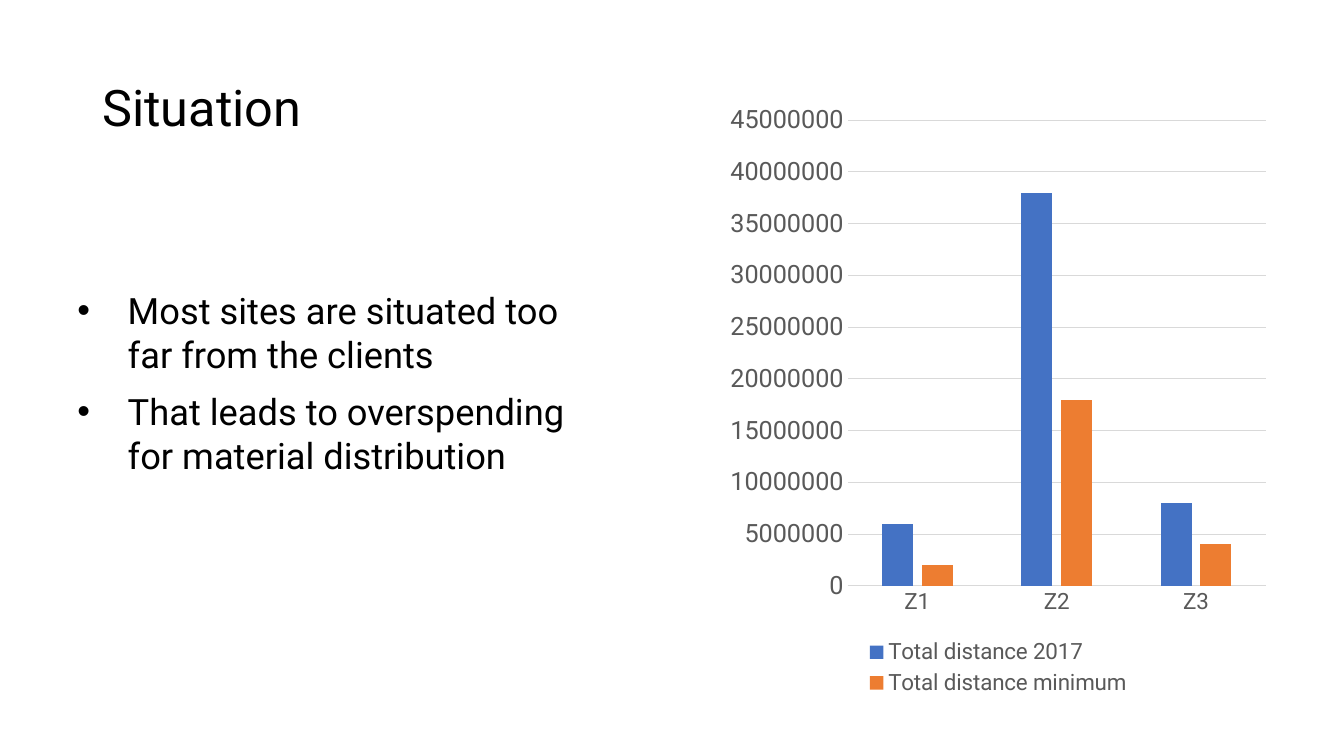
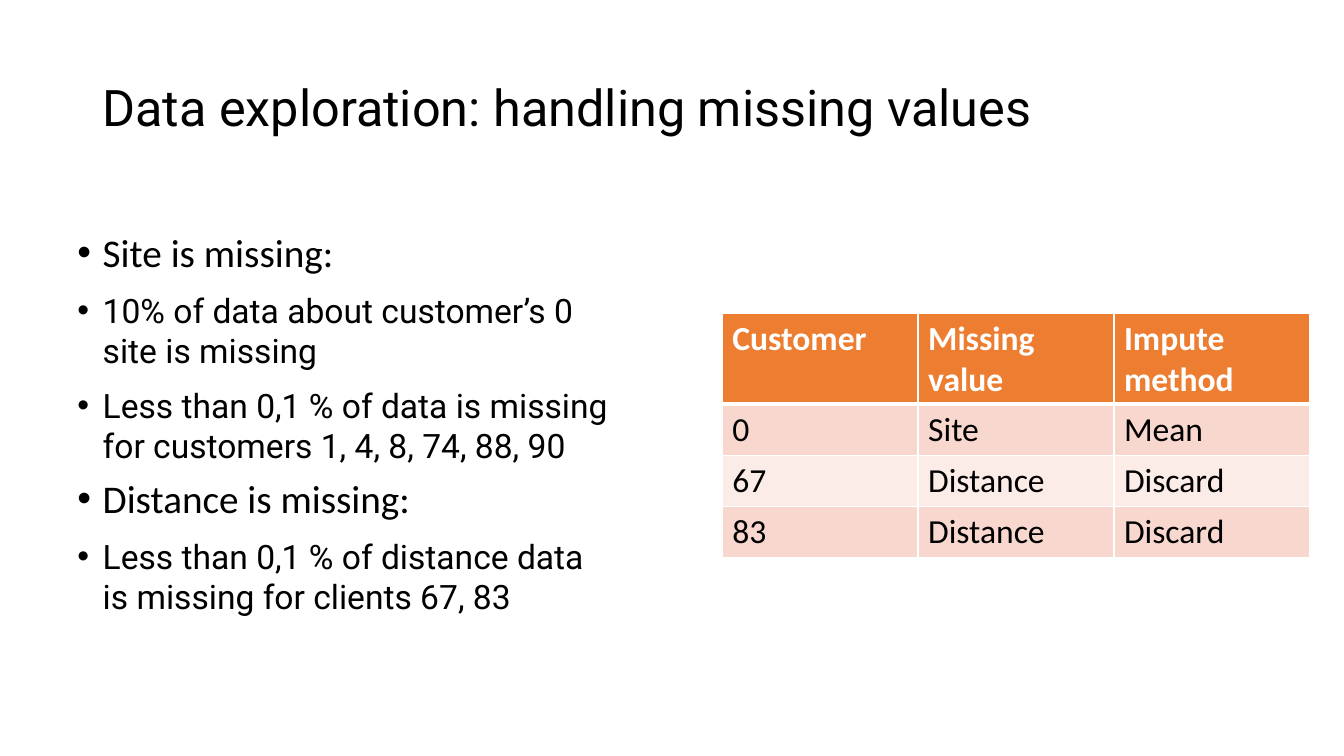
"""Builds two slides on site distances and missing data."""
from lxml import etree
from pptx import Presentation
from pptx import util as u
from pptx.chart import data as cd
from pptx.dml import color
from pptx.enum import chart as ce, text
from pptx.oxml import ns

BLACK, WHITE, GREY, RULE = "000000", "FFFFFF", "595959", "D9D9D9"
BLUE, ORANGE, PINK, PALE = "4472C4", "ED7D31", "F8D7CE", "FCECE8"

HEAD = {"name": "Calibri", "size": 28, "color": BLACK}
ITEM = {"name": "Roboto", "size": 24, "color": BLACK}
POINT = ITEM | {"size": 25.9}
TITLE = ITEM | {"size": 36}
CELL = {"name": "Calibri", "size": 24, "color": BLACK, "bold": False}
TOP = CELL | {"color": WHITE, "bold": True}
LABEL = {"name": "Roboto", "size": 16, "color": GREY}
SCALE = LABEL | {"size": 18}

POINTS = [
    ("Most sites are situated too far from the clients", POINT, 1),
    ("That leads to overspending for material distribution", POINT, 1),
]
GAPS = [
    ("Site is missing:", HEAD, 0.9),
    ("10% of data about customer’s 0 site is missing", ITEM, 1),
    ("Less than 0,1 % of data is missing for customers 1, 4, 8, 74, 88, 90",
     ITEM, 1),
    ("Distance is missing:", HEAD, 0.9),
    ("Less than 0,1 % of distance data is missing for clients 67, 83",
     ITEM, 1),
]
ZONES = ["Z1", "Z2", "Z3"]
TOTALS = [
    ("Total distance 2017", (6000000, 38000000, 8000000), BLUE),
    ("Total distance minimum", (2000000, 18000000, 4000000), ORANGE),
]
ROWS = [
    ("Customer", "Missing value", "Impute method"),
    ("0", "Site", "Mean"),
    ("67", "Distance", "Discard"),
    ("83", "Distance", "Discard"),
]


def rgb(code):
    return color.RGBColor.from_string(code)


def style(font, form):
    for key, val in form.items():
        if key == "color":
            font.color.rgb = rgb(val)
        else:
            setattr(font, key, u.Pt(val) if key == "size" else val)


def paint(fill, code):
    fill.solid()
    fill.fore_color.rgb = rgb(code)


def node(base, tag, **attrs):
    return etree.SubElement(base, ns.qn(tag), attrs)


def place(*box):
    return [u.Cm(n) for n in box]


def add_text(slide, box, lines, before, hang=0, anchor="TOP"):
    frame = slide.shapes.add_textbox(*place(*box)).text_frame
    frame.word_wrap = True
    frame.vertical_anchor = text.MSO_ANCHOR[anchor]
    for i, (words, form, space) in enumerate(lines):
        para = frame.add_paragraph() if i else frame.paragraphs[0]
        para.line_spacing, para.space_before = space, u.Pt(before)
        run = para.add_run()
        run.text = words
        style(run.font, form)
        if hang:
            props = para._p.get_or_add_pPr()
            props.set("marL", str(u.Cm(hang)))
            props.set("indent", str(-u.Cm(hang)))
            node(props, "a:buFont", typeface="Arial")
            node(props, "a:buChar", char="•")


def add_page(show, title):
    slide = show.slides.add_slide(show.slide_layouts[6])
    add_text(slide, (2.33, 1.01, 29.21, 3.68), [(title, TITLE, 0.75)],
             14.2, anchor="MIDDLE")
    return slide


def set_area(part, after, inner, **area):
    old = part.find(ns.qn("c:layout"))
    if old is not None:
        part.remove(old)
    lay = etree.Element(ns.qn("c:layout"))
    man = node(lay, "c:manualLayout")
    if inner:
        node(man, "c:layoutTarget", val="inner")
    for key in ("xMode", "yMode"):
        node(man, "c:" + key, val="edge")
    for key, val in area.items():
        node(man, "c:" + key, val=str(val))
    if after is None:
        part.insert(0, lay)
    else:
        part.find(ns.qn(after)).addnext(lay)


def add_bars(slide, box):
    data = cd.CategoryChartData(number_format="0")
    data.categories = ZONES
    for name, vals, _ in TOTALS:
        data.add_series(name, vals)
    chart = slide.shapes.add_chart(
        ce.XL_CHART_TYPE.COLUMN_CLUSTERED, *place(*box), data).chart
    chart.has_title, chart.has_legend = False, True
    style(chart.font, LABEL)
    plot = chart.plots[0]
    plot.gap_width, plot.overlap, plot.vary_by_categories = 219, -27, False
    for bar, (_, _, code) in zip(plot.series, TOTALS):
        paint(bar.format.fill, code)
    cat, val = chart.category_axis, chart.value_axis
    for axis, form in ((cat, LABEL), (val, SCALE)):
        axis.major_tick_mark = ce.XL_TICK_MARK.NONE
        style(axis.tick_labels.font, form)
    val.minimum_scale, val.maximum_scale, val.major_unit = 0, 45000000, 5000000
    val.format.line.fill.background()
    val.tick_labels.number_format = "0"
    val.tick_labels.number_format_is_linked = False
    for line in (cat.format.line, val.major_gridlines.format.line):
        line.color.rgb, line.width = rgb(RULE), u.Pt(0.75)
    key = chart.legend
    key.position = ce.XL_LEGEND_POSITION.BOTTOM
    key.include_in_layout = False
    style(key.font, LABEL)
    area = chart._chartSpace.chart.plotArea
    set_area(area, None, True, x=0.23, y=0.04, w=0.75, h=0.77)
    set_area(key._element, "c:legendPos", False, x=0.26, y=0.89, w=0.48, h=0.11)


def add_edges(cell, low):
    props = cell._tc.get_or_add_tcPr()
    for i, side in enumerate(("lnL", "lnR", "lnT", "lnB")):
        wide = u.Pt(low if side == "lnB" else 1)
        edge = etree.Element(ns.qn("a:" + side), {"w": str(wide)})
        node(node(edge, "a:solidFill"), "a:srgbClr", val=WHITE)
        props.insert(i, edge)


def add_grid(slide, box):
    grid = slide.shapes.add_table(len(ROWS), len(ROWS[0]), *place(*box)).table
    for r, row in enumerate(ROWS):
        grid.rows[r].height = u.Cm(1.29 if r else 2.28)
        for c, words in enumerate(row):
            cell = grid.cell(r, c)
            cell.text = words
            style(cell.text_frame.paragraphs[0].runs[0].font,
                  CELL if r else TOP)
            paint(cell.fill, (PALE, PINK)[r % 2] if r else ORANGE)
            add_edges(cell, 1 if r else 3)


def main():
    show = Presentation()
    show.slide_width, show.slide_height = place(33.87, 19.05)
    page = add_page(show, "Situation")
    add_text(page, (1.7, 7.14, 13.6, 5.69), POINTS, 10, 1.27)
    add_bars(page, (18.13, 2.42, 14.05, 15.24))
    page = add_page(show, "Data exploration: handling missing values")
    add_grid(page, (18.2, 7.9, 14.81, 6.15))
    add_text(page, (1.7, 5.76, 13.97, 10.36), GAPS, 10, 0.64)
    show.save("out.pptx")


main()
